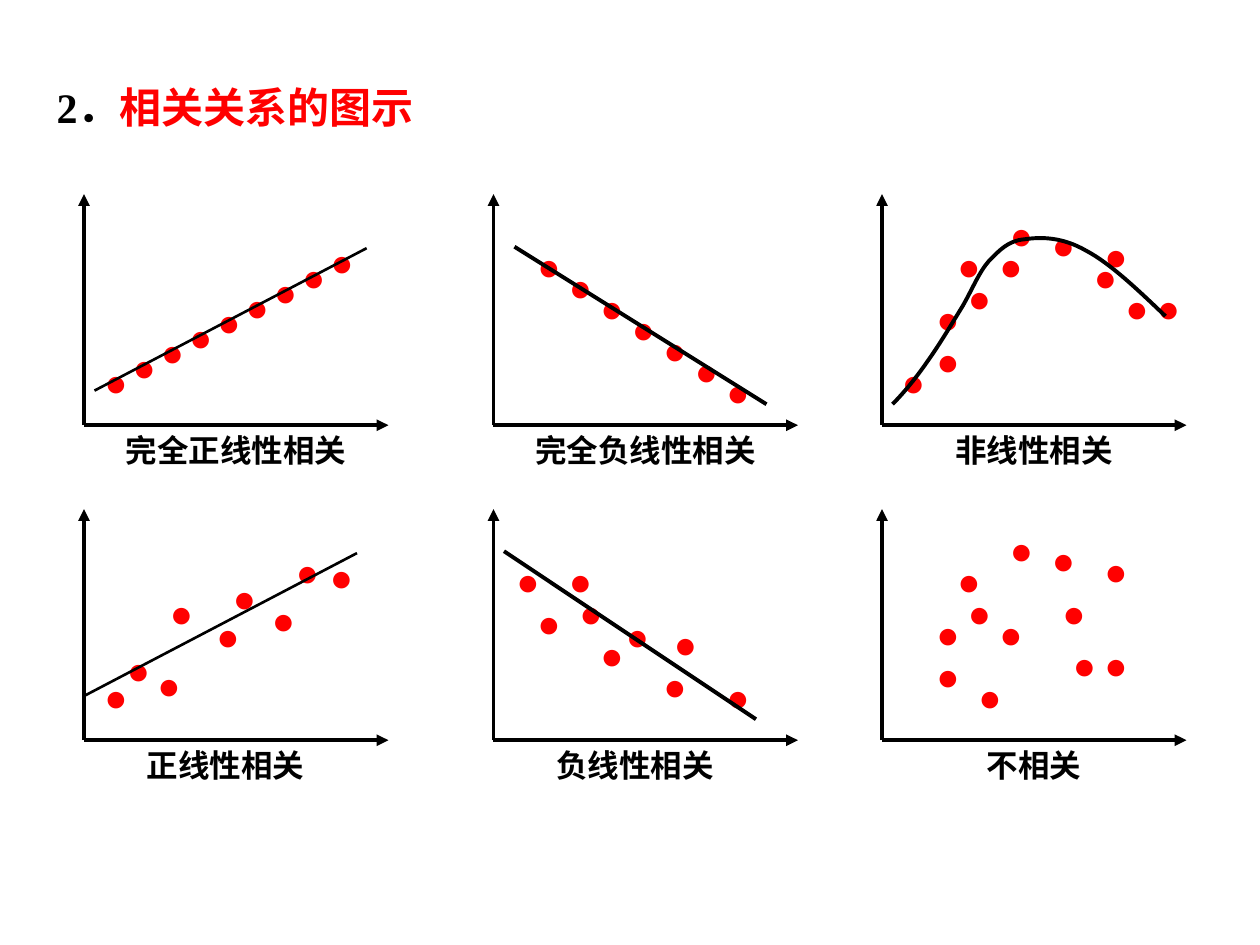
from dataclasses import dataclass
from lxml import etree
from pptx import Presentation
from pptx.dml.color import RGBColor
from pptx.enum.shapes import MSO_CONNECTOR
from pptx.enum.text import PP_ALIGN
from pptx.oxml.ns import qn
from pptx.util import Cm, Pt

LINE = MSO_CONNECTOR.STRAIGHT
LEFT, MID = PP_ALIGN.LEFT, PP_ALIGN.CENTER


@dataclass(frozen=True)
class Theme:
    font: str = "Times New Roman"
    ink: RGBColor = RGBColor(0, 0, 0)
    red: RGBColor = RGBColor(255, 0, 0)
    title: int = 24
    label: int = 18
    dot: int = 22
    bold: float = 2.25
    thin: float = 1.5


T = Theme()
STEP = Cm(2.54) / 12
COLS = (8, 47, 84)
ROWS = (40.5, 70.5)
WIDE, HIGH = 29, 22

TITLE = [("2．", T.ink), ("相关关系的图示", T.red)]

PLOTS = [
    dict(name="完全正线性相关", shift=2, width=T.thin,
         dots=[(0.76 + 2.69 * i, 7.02 + 1.42 * i) for i in range(9)],
         trend=[(1, 3.3), (26.92, 16.86)]),
    dict(name="完全负线性相关", shift=2, width=T.bold,
         dots=[(3 + 3 * i, 18 - 2 * i) for i in range(7)],
         trend=[(2, 17), (26, 2)]),
    dict(name="非线性相关", shift=2, width=T.bold,
         dots=[(0.72, 7.02), (22, 14), (15, 20), (20, 19), (11, 21), (10, 18),
               (7, 15), (4, 9), (4, 13), (19, 17), (25, 14), (6, 18)],
         trend=[(1, 2), (2.16, 3.18), (3.24, 4.5), (4.32, 6.06),
                (5.52, 7.74), (6.72, 9.78), (7.68, 11.34),
                (8.64, 13.02), (9.24, 14.58), (10.2, 15.66),
                (11.16, 16.62), (12, 17.58), (13.56, 17.7),
                (15.12, 17.94), (17.16, 17.94), (19.44, 16.62),
                (21.72, 15.42), (24.36, 12.9), (27, 10.38)]),
    dict(name="正线性相关", shift=1, width=T.thin,
         dots=[(0.76, 7.02), (22.24, 18.42), (16.72, 14.34), (19, 18.9),
               (13, 16.38), (11.44, 12.78), (7, 15), (2.92, 9.54), (5.8, 8.1)],
         trend=[(0.1, 4.26), (26, 17.82)]),
    dict(name="负线性相关", shift=1, width=T.bold,
         dots=[(15, 8), (21, 7), (9, 11), (16, 12), (3, 14),
               (11.44, 12.78), (7, 15), (1, 18), (6, 18)],
         trend=[(1, 18), (25, 2)]),
    dict(name="不相关", shift=2, width=T.bold,
         dots=[(8, 7), (17, 10), (15, 20), (20, 19), (11, 21), (10, 13),
               (7, 15), (4, 9), (4, 13), (16, 15), (20, 10), (6, 18)],
         trend=[]),
]

deck = Presentation()
deck.slide_width, deck.slide_height = Cm(25.4), Cm(19.05)
slide = deck.slides.add_slide(deck.slide_layouts[6])
shapes = slide.shapes


def write(x, y, w, h, runs, size, bold=True, align=LEFT):
    frame = shapes.add_textbox(x, y, w, h).text_frame
    frame.word_wrap = True
    para = frame.paragraphs[0]
    para.alignment = align
    for text, color in runs:
        run = para.add_run()
        run.text = text
        font = run.font
        font.name, font.size, font.bold = T.font, Pt(size), bold
        font.color.rgb = color


def stroke(start, end, width, arrow=False):
    line = shapes.add_connector(LINE, *start, *end)
    line.line.color.rgb = T.ink
    line.line.width = Pt(width)
    if arrow:
        etree.SubElement(line.line._get_or_add_ln(), qn("a:tailEnd"), type="triangle")
    etree.SubElement(line._element.spPr, qn("a:effectLst"))


def bend(points, width):
    form = shapes.build_freeform(*points[0])
    form.add_line_segments(points[1:], close=False)
    curve = form.convert_to_shape()
    curve.shadow.inherit = False
    curve.fill.background()
    curve.line.color.rgb = T.ink
    curve.line.width = Pt(width)
    legs = list(curve._element.iter(qn("a:lnTo")))
    for i in range(0, len(legs), 3):
        cubic = etree.Element(qn("a:cubicBezTo"))
        legs[i].addprevious(cubic)
        for leg in legs[i:i + 3]:
            cubic.append(leg[0])
            leg.getparent().remove(leg)


def draw(plot, left, base):
    def place(x, y):
        return round((left + x) * STEP), round((base - y) * STEP)

    zero = place(0, 0)
    stroke(zero, place(0, HIGH), T.bold, True)
    stroke(zero, place(WIDE, 0), T.bold, True)
    for dot in plot["dots"]:
        write(*place(*dot), Cm(1.14), Cm(1.19), [("●", T.red)], T.dot, False)
    points = [place(*p) for p in plot["trend"]]
    if len(points) == 2:
        stroke(*points, plot["width"])
    elif points:
        bend(points, plot["width"])
    write(*place(plot["shift"], 0), Cm(5.29), Cm(1.02),
          [(plot["name"], T.ink)], T.label, align=MID)


write(Cm(0.89), Cm(1.52), Cm(12.4), Cm(1.27), TITLE, T.title)
for i, plot in enumerate(PLOTS):
    row, col = divmod(i, len(COLS))
    draw(plot, COLS[col], ROWS[row])

deck.save("out.pptx")
